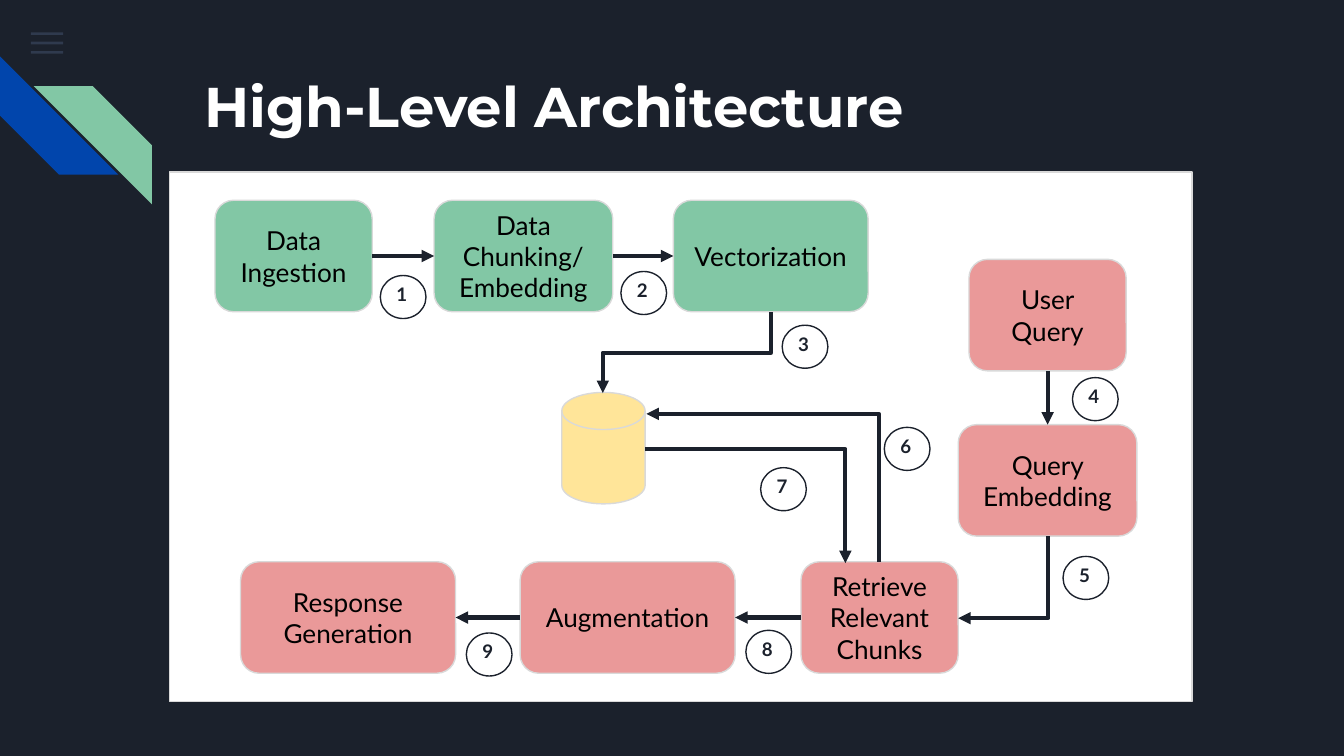
from typing import NamedTuple

from lxml.etree import SubElement
from pptx import Presentation
from pptx.dml.color import RGBColor
from pptx.enum.shapes import MSO_CONNECTOR as Conn, MSO_SHAPE as Kind
from pptx.enum.text import MSO_ANCHOR as Anchor, PP_ALIGN as Align
from pptx.oxml.ns import qn
from pptx.util import Inches, Pt

NAVY = RGBColor(0x1B, 0x21, 0x2C)
SLATE = RGBColor(0x55, 0x68, 0x8B)
BLUE = RGBColor(0x01, 0x45, 0xAC)
GREEN = RGBColor(0x82, 0xC7, 0xA5)
PINK = RGBColor(0xEA, 0x99, 0x99)
YELLOW = RGBColor(0xFF, 0xE5, 0x99)
GREY = RGBColor(0xD9, 0xD9, 0xD9)
WHITE = RGBColor(0xFF, 0xFF, 0xFF)
BLACK = RGBColor(0, 0, 0)

TOP, LEFT, BOTTOM, RIGHT = range(4)
STEP_H = 0.83


class Step(NamedTuple):
    text: str
    x: float
    y: float
    w: float
    fill: RGBColor


class Link(NamedTuple):
    start: str
    out: int
    end: str
    into: int


class Bend(NamedTuple):
    """An elbow that leaves its first point sideways and meets the second upright."""
    x1: float
    y1: float
    x2: float
    y2: float
    arrow: str


STEPS = [
    Step("Data Ingestion", 1.6, 1.49, 1.17, GREEN),
    Step("Data Chunking/ Embedding", 3.23, 1.49, 1.33, GREEN),
    Step("Vectorization", 5.01, 1.49, 1.45, GREEN),
    Step("User Query", 7.21, 1.93, 1.17, PINK),
    Step("Query Embedding", 7.13, 3.16, 1.33, PINK),
    Step("Retrieve Relevant Chunks", 5.96, 4.18, 1.17, PINK),
    Step("Augmentation", 3.87, 4.18, 1.6, PINK),
    Step("Response Generation", 1.79, 4.18, 1.6, PINK),
]
LINKS = [
    Link("Data Ingestion", RIGHT, "Data Chunking/ Embedding", LEFT),
    Link("Data Chunking/ Embedding", RIGHT, "Vectorization", LEFT),
    Link("User Query", BOTTOM, "Query Embedding", TOP),
    Link("Retrieve Relevant Chunks", LEFT, "Augmentation", RIGHT),
    Link("Augmentation", LEFT, "Response Generation", RIGHT),
]
BENDS = [
    Bend(4.81, 3.08, 6.54, 4.18, "headEnd"),
    Bend(7.13, 4.6, 7.8, 3.99, "headEnd"),
    Bend(4.8, 3.34, 6.29, 4.19, "tailEnd"),
]
BADGES = [(2.83, 2.05), (4.62, 2.02), (5.82, 2.42), (7.98, 2.81), (7.91, 4.14),
          (6.58, 3.18), (5.66, 3.48), (5.55, 4.69), (3.47, 4.71)]


def add_form(shapes, kind, x: float, y: float, w: float, h: float,
             fill: RGBColor | None = None, line: RGBColor | None = None):
    form = shapes.add_shape(kind, Inches(x), Inches(y), Inches(w), Inches(h))
    form.shadow.inherit = False
    if fill is None:
        form.fill.background()
    else:
        form.fill.solid()
        form.fill.fore_color.rgb = fill
    if line is None:
        form.line.fill.background()
    else:
        form.line.color.rgb = line
        form.line.width = Pt(0.75)
    return form


def write(frame, text: str, font: str, size: int, color: RGBColor,
          bold: bool = False, align=Align.LEFT, anchor=Anchor.TOP) -> None:
    frame.word_wrap = True
    frame.vertical_anchor = anchor
    frame.margin_left = frame.margin_right = Inches(0.1)
    frame.margin_top = frame.margin_bottom = Inches(0.1)
    para = frame.paragraphs[0]
    para.alignment = align
    run = para.add_run()
    run.text = text
    run.font.name, run.font.size = font, Pt(size)
    run.font.bold = bold
    run.font.color.rgb = color


def add_arrow(shapes, kind, x1: float = 0, y1: float = 0, x2: float = 0,
              y2: float = 0, arrow: str = "tailEnd"):
    line = shapes.add_connector(kind, Inches(x1), Inches(y1), Inches(x2), Inches(y2))
    line.line.color.rgb = NAVY
    line.line.width = Pt(2.25)
    props = line._element.spPr
    SubElement(props.find(qn("a:ln")), qn("a:" + arrow), type="triangle")
    SubElement(props, qn("a:effectLst"))
    return line


def add_badge(shapes, num: int, x: float, y: float) -> None:
    group = shapes.add_group_shape().shapes
    add_form(group, Kind.OVAL, x, y, 0.34, 0.32, line=NAVY)
    label = group.add_textbox(Inches(x + 0.02), Inches(y - 0.03),
                              Inches(0.45), Inches(0.37))
    write(label.text_frame, str(num), "Lato", 10, NAVY, bold=True)


def add_decor(shapes) -> None:
    for row in range(3):
        bar = add_form(shapes, Kind.RECTANGLE, 0.23, 0.24 + 0.07 * row,
                       0.24, 0.02, SLATE)
        tint = bar._element.spPr.find(".//" + qn("a:srgbClr"))
        SubElement(tint, qn("a:alpha"), val="36000")
    blue = add_form(shapes, Kind.DIAGONAL_STRIPE, 0, 0.42, 0.88, 0.88, BLUE)
    blue.rotation = 270
    green = add_form(shapes, Kind.DIAGONAL_STRIPE, 0.25, 0.64, 0.88, 0.88, GREEN)
    green._element.spPr.find(qn("a:xfrm")).set("flipH", "1")


def add_flow(shapes) -> None:
    add_form(shapes, Kind.RECTANGLE, 1.26, 1.28, 7.61, 3.94, WHITE, GREY)
    add_form(shapes, Kind.FLOWCHART_MAGNETIC_DISK, 4.18, 2.92, 0.62, STEP_H,
             YELLOW, GREY)
    boxes = {}
    for step in STEPS:
        box = add_form(shapes, Kind.ROUNDED_RECTANGLE, step.x, step.y, step.w,
                       STEP_H, step.fill, GREY)
        write(box.text_frame, step.text, "Lato", 14, BLACK,
              align=Align.CENTER, anchor=Anchor.MIDDLE)
        boxes[step.text] = box
    for link in LINKS:
        line = add_arrow(shapes, Conn.STRAIGHT)
        line.begin_connect(boxes[link.start], link.out)
        line.end_connect(boxes[link.end], link.into)
    for bend in BENDS:
        line = add_arrow(shapes, Conn.ELBOW, *bend)
        line._element.spPr.find(qn("a:prstGeom")).set("prst", "bentConnector2")
    # A quarter turn makes this elbow leave Vectorization downwards.
    store = add_arrow(shapes, Conn.ELBOW, 4.81, 2, 5.41, 3.25)
    store._element.spPr.find(qn("a:xfrm")).set("rot", "5400000")
    for num, (x, y) in enumerate(BADGES, 1):
        add_badge(shapes, num, x, y)


def main() -> None:
    deck = Presentation()
    deck.slide_width = Inches(10)
    deck.slide_height = deck.slide_width * 9 // 16
    slide = deck.slides.add_slide(deck.slide_layouts[5])
    slide.background.fill.solid()
    slide.background.fill.fore_color.rgb = NAVY
    add_decor(slide.shapes)
    title = slide.shapes.title
    title.left, title.top = Inches(1.42), Inches(0.43)
    title.width, title.height = Inches(7.7), Inches(1)
    write(title.text_frame, "High-Level Architecture", "Montserrat", 30, WHITE,
          bold=True)
    add_flow(slide.shapes)
    deck.save("out.pptx")


if __name__ == "__main__":
    main()
